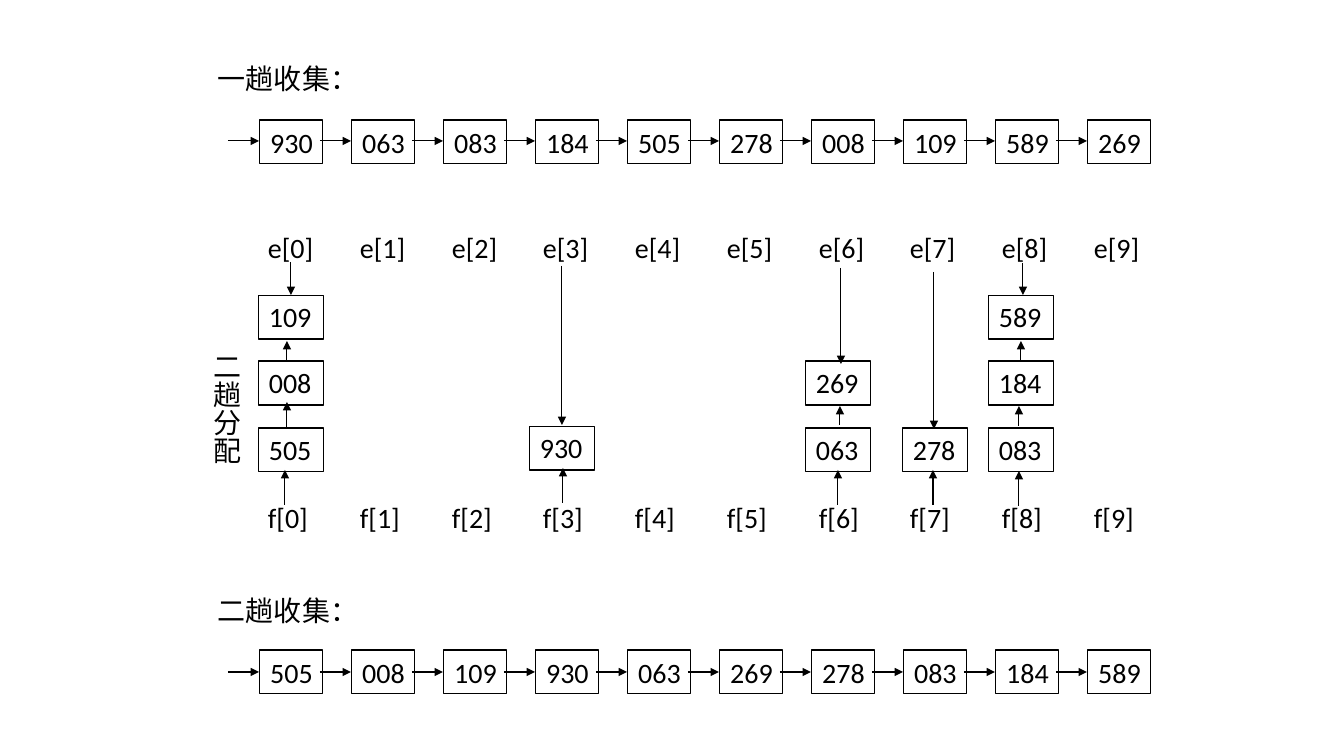
"""Draw the second pass of a linked-list radix sort: collect, distribute, collect."""
from lxml.etree import SubElement
from pptx import Presentation
from pptx.dml.color import RGBColor
from pptx.enum.shapes import MSO_CONNECTOR, MSO_SHAPE
from pptx.enum.text import MSO_ANCHOR, MSO_AUTO_SIZE, PP_ALIGN
from pptx.oxml.ns import qn
from pptx.util import Pt

COLORS = {"ink": "000000"}
FONT = "Calibri"
SCALE = 914400 / 100.8

CHAINS = [
    ("一趟收集：", 57, 120, 141,
     ["930", "063", "083", "184", "505", "278", "008", "109", "589", "269"]),
    ("二趟收集：", 589, 650, 672,
     ["505", "008", "109", "930", "063", "269", "278", "083", "184", "589"]),
]
SIDE = "二趟分配"
LABELS = [("e", 226, 67, 44), ("f", 496, 62, 43)]
LEVELS = [428, 361, 295]
BUCKETS = [
    {"left": 259, "lift": 0, "keys": ["505", "008", "109"],
     "links": [(285, 505, 470), (287, 427, 402), (287, 362, 341), (291, 262, 295)]},
    {"left": 530, "lift": 2, "keys": ["930"],
     "links": [(563, 503, 468), (562, 266, 425)]},
    {"left": 806, "lift": 0, "keys": ["063", "269"],
     "links": [(838, 505, 470), (840, 425, 406), (841, 268, 364)]},
    {"left": 903, "lift": 0, "keys": ["278"],
     "links": [(933, 505, 470), (934, 272, 429)]},
    {"left": 989, "lift": 0, "keys": ["083", "184", "589"],
     "links": [(1019, 506, 471), (1019, 426, 406), (1021, 362, 341), (1023, 263, 295)]},
]
COUNT = 10
PITCH = 92
SPAN = 826


def px(*sizes):
    return [round(size * SCALE) for size in sizes]


def ink():
    return RGBColor.from_string(COLORS["ink"])


def write(shape, text, wrap=False, grow=True):
    frame = shape.text_frame
    frame.word_wrap = wrap
    frame.auto_size = MSO_AUTO_SIZE.SHAPE_TO_FIT_TEXT if grow else MSO_AUTO_SIZE.NONE
    frame.vertical_anchor = MSO_ANCHOR.TOP if grow else MSO_ANCHOR.MIDDLE
    line = frame.paragraphs[0]
    line.alignment = PP_ALIGN.LEFT if grow else PP_ALIGN.CENTER
    run = line.add_run()
    run.text = text
    run.font.name = FONT
    run.font.size = Pt(20)
    run.font.color.rgb = ink()


def label(slide, text, *area):
    box = slide.shapes.add_textbox(*px(*area))
    write(box, text)
    return box


def node(slide, text, left, top, width, **style):
    box = slide.shapes.add_shape(MSO_SHAPE.RECTANGLE, *px(left, top, width, 44))
    box.shadow.inherit = False
    box.fill.background()
    box.line.color.rgb = ink()
    box.line.width = Pt(0.75)
    write(box, text, **style)


def arrow(slide, *ends):
    link = slide.shapes.add_connector(MSO_CONNECTOR.STRAIGHT, *px(*ends))
    link.line.color.rgb = ink()
    link.line.width = Pt(0.75)
    SubElement(link.line._get_or_add_ln(), qn("a:tailEnd"), type="triangle")
    SubElement(link._element.spPr, qn("a:effectLst"))


def chain(slide, title, head, top, mid, keys):
    label(slide, title, 208, head, 168, 43)
    for i, key in enumerate(keys):
        left = 260 + i * PITCH
        node(slide, key, left, top, 63, grow=False)
        arrow(slide, left - 32, mid, left - 1, mid)


def bucket(slide, left, lift, keys, links):
    for key, top in zip(keys, LEVELS):
        node(slide, key, left, top - lift, 65, wrap=True)
    for x, start, end in links:
        arrow(slide, x, start, x, end)


def main():
    deck = Presentation()
    deck.slide_width, deck.slide_height = px(1344, 756)
    slide = deck.slides.add_slide(deck.slide_layouts[6])
    for row in CHAINS:
        chain(slide, *row)
    for name, top, width, height in LABELS:
        for i in range(COUNT):
            left = 258 + round(i * SPAN / (COUNT - 1))
            label(slide, f"{name}[{i}]", left, top, width, height)
    side = label(slide, SIDE, 194, 343, 54, 130)
    side.text_frame._txBody.bodyPr.set("vert", "eaVert")
    for item in BUCKETS:
        bucket(slide, **item)
    deck.save("out.pptx")


if __name__ == "__main__":
    main()
